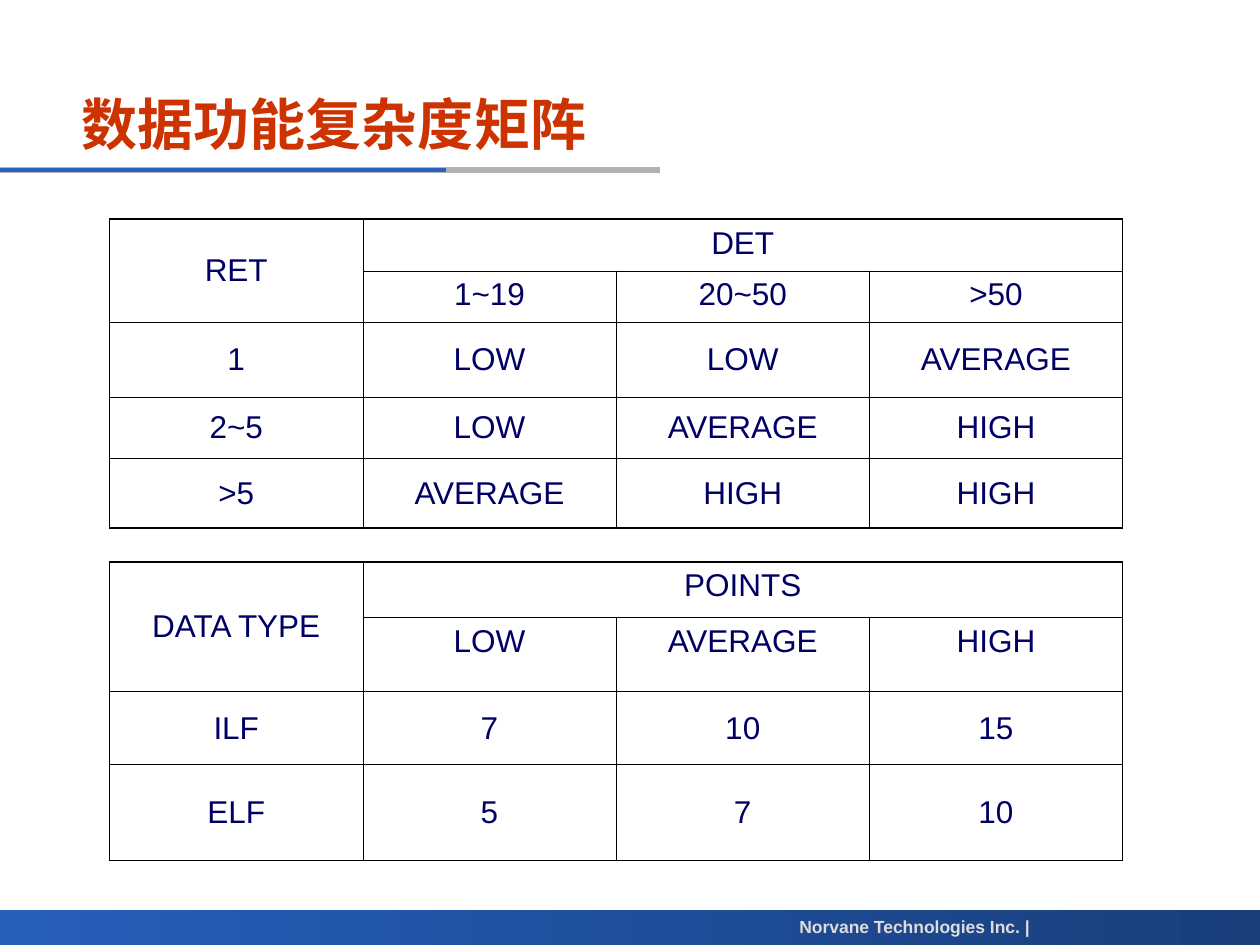
from pptx import Presentation, util as u
from pptx.dml.color import RGBColor
from pptx.enum import shapes, text
from pptx.oxml import parse_xml
from pptx.oxml.ns import nsdecls
from lxml import etree

TITLE = "数据功能复杂度矩阵"
FOOTER = "Norvane Technologies Inc. |"
FOOTER_BLUES = ["265FBC", "193F7C"]
RULES = [(5.24, "B2B2B2", 3), (3.54, "2A60C0", 2.25)]
TABLES = [
    {"top": 1.74, "heights": [0.41, 0.41, 0.59, 0.49, 0.55], "rows": [
        ["RET", "DET", "", ""],
        ["", "1~19", "20~50", ">50"],
        ["1", "LOW", "LOW", "AVERAGE"],
        ["2~5", "LOW", "AVERAGE", "HIGH"],
        [">5", "AVERAGE", "HIGH", "HIGH"]]},
    {"top": 4.46, "heights": [0.44, 0.59, 0.58, 0.76], "rows": [
        ["DATA TYPE", "POINTS", "", ""],
        ["", "LOW", "AVERAGE", "HIGH"],
        ["ILF", "7", "10", "15"],
        ["ELF", "5", "7", "10"]]},
]
TABLE_LEFT, COL_W = 0.87, 2.01
OUTER, INNER = 1.08, 0.45


def rgb(value):
    return RGBColor.from_string(value)


def box(*lengths):
    return [u.Inches(v) for v in lengths]


def style(p, size, color, align, bold=False):
    p.alignment = align
    for r in p.runs:
        r.font.name = "Arial"
        r.font.size = u.Pt(size)
        r.font.bold = bold
        r.font.color.rgb = rgb(color)


def set_borders(cell, widths):
    tcPr = cell._tc.get_or_add_tcPr()
    for side, width in zip("LRTB", widths):
        tcPr.append(parse_xml(
            f'<a:ln{side} {nsdecls("a")} w="{u.Pt(width)}"><a:solidFill>'
            f'<a:srgbClr val="000000"/></a:solidFill></a:ln{side}>'))


def add_matrix(s, top, heights, rows):
    n, m = len(rows), len(rows[0])
    frame = s.shapes.add_table(n, m, *box(TABLE_LEFT, top, COL_W * m, sum(heights)))
    table = frame.table
    table.first_row = table.horz_banding = False
    for col in table.columns:
        col.width = u.Inches(COL_W)
    for row, height in zip(table.rows, heights):
        row.height = u.Inches(height)
    table.cell(0, 0).merge(table.cell(1, 0))
    table.cell(0, 1).merge(table.cell(0, m - 1))
    for i, values in enumerate(rows):
        for j, value in enumerate(values):
            cell = table.cell(i, j)
            right = j + (cell.span_width if cell.is_merge_origin else 1)
            edges = [j == 0, right == m, i == 0, i == n - 1]
            set_borders(cell, [OUTER if e else INNER for e in edges])
            cell.fill.background()
            header = i < 2 and j > 0
            cell.vertical_anchor = text.MSO_ANCHOR.TOP if header else text.MSO_ANCHOR.MIDDLE
            if value:
                cell.text_frame.text = value
                style(cell.text_frame.paragraphs[0], 18, "000064", text.PP_ALIGN.CENTER)


prs = Presentation()
prs.slide_width, prs.slide_height = box(10, 7.5)
s = prs.slides.add_slide(prs.slide_layouts[5])

bar = s.shapes.add_shape(shapes.MSO_SHAPE.RECTANGLE, *box(0, 7.22, 10, 0.28))
bar.shadow.inherit = False
bar.line.fill.background()
bar.fill.gradient()
bar.fill.gradient_angle = 0
for stop, color in zip(bar.fill.gradient_stops, FOOTER_BLUES):
    stop.color.rgb = rgb(color)

for end, color, width in RULES:
    rule = s.shapes.add_connector(shapes.MSO_CONNECTOR.STRAIGHT, *box(0, 1.35, end, 1.35))
    rule.line.color.rgb = rgb(color)
    rule.line.width = u.Pt(width)
    etree.SubElement(rule._element.spPr, "{http://schemas.openxmlformats.org/drawingml/2006/main}effectLst")

footer = s.shapes.add_textbox(*box(6.15, 7.22, 2.12, 0.27))
footer.text_frame.word_wrap = False
footer.text_frame.text = FOOTER
style(footer.text_frame.paragraphs[0], 10, "DDDDDD", text.PP_ALIGN.RIGHT, True)

title = s.shapes.title
title.left, title.top, title.width, title.height = box(0.55, 0.64, 6.92, 0.67)
tf = title.text_frame
tf.text = TITLE
tf.auto_size = text.MSO_AUTO_SIZE.NONE
tf.vertical_anchor = text.MSO_ANCHOR.MIDDLE
style(tf.paragraphs[0], 32, "CC3300", text.PP_ALIGN.LEFT, True)

for matrix in TABLES:
    add_matrix(s, **matrix)

prs.save("out.pptx")
